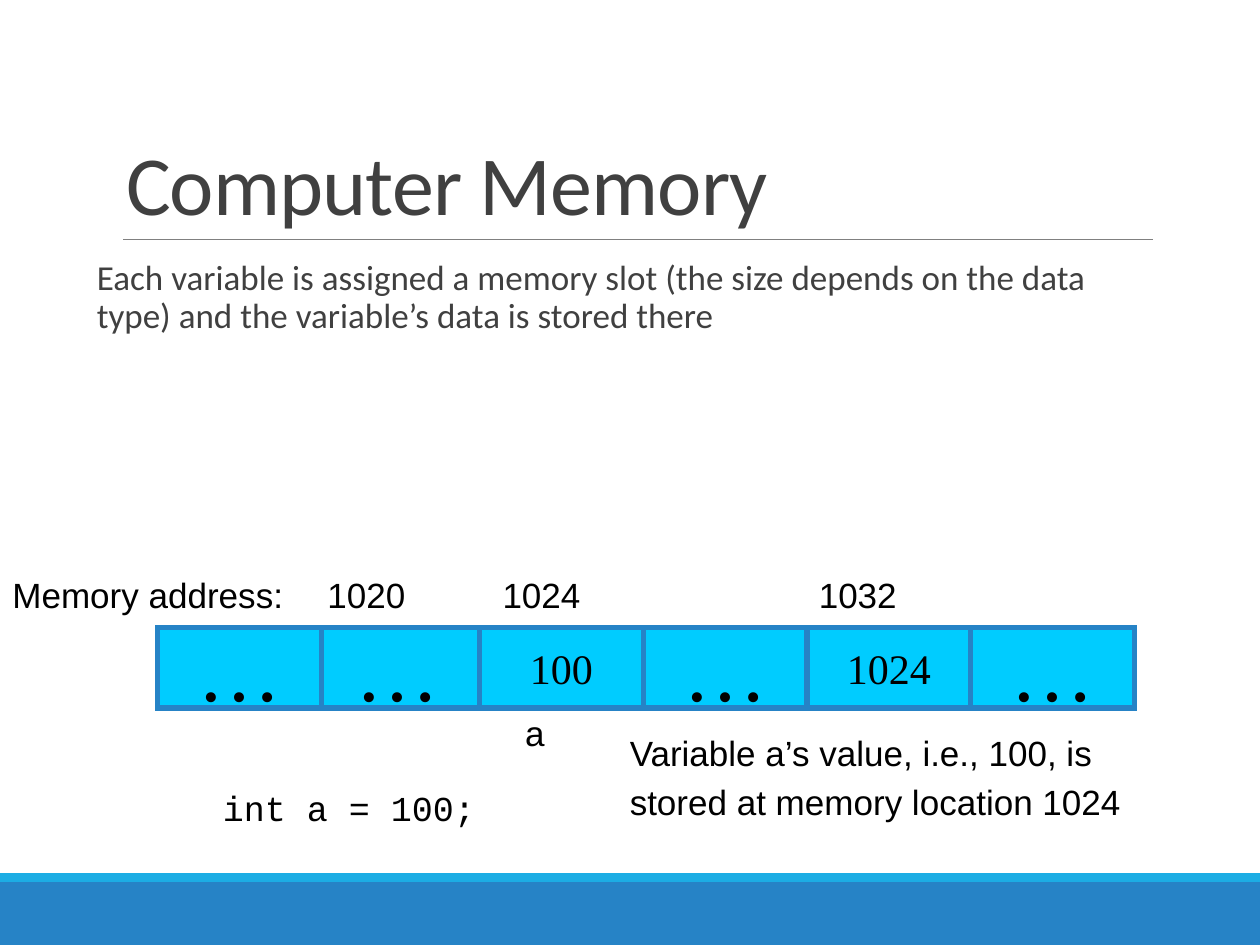
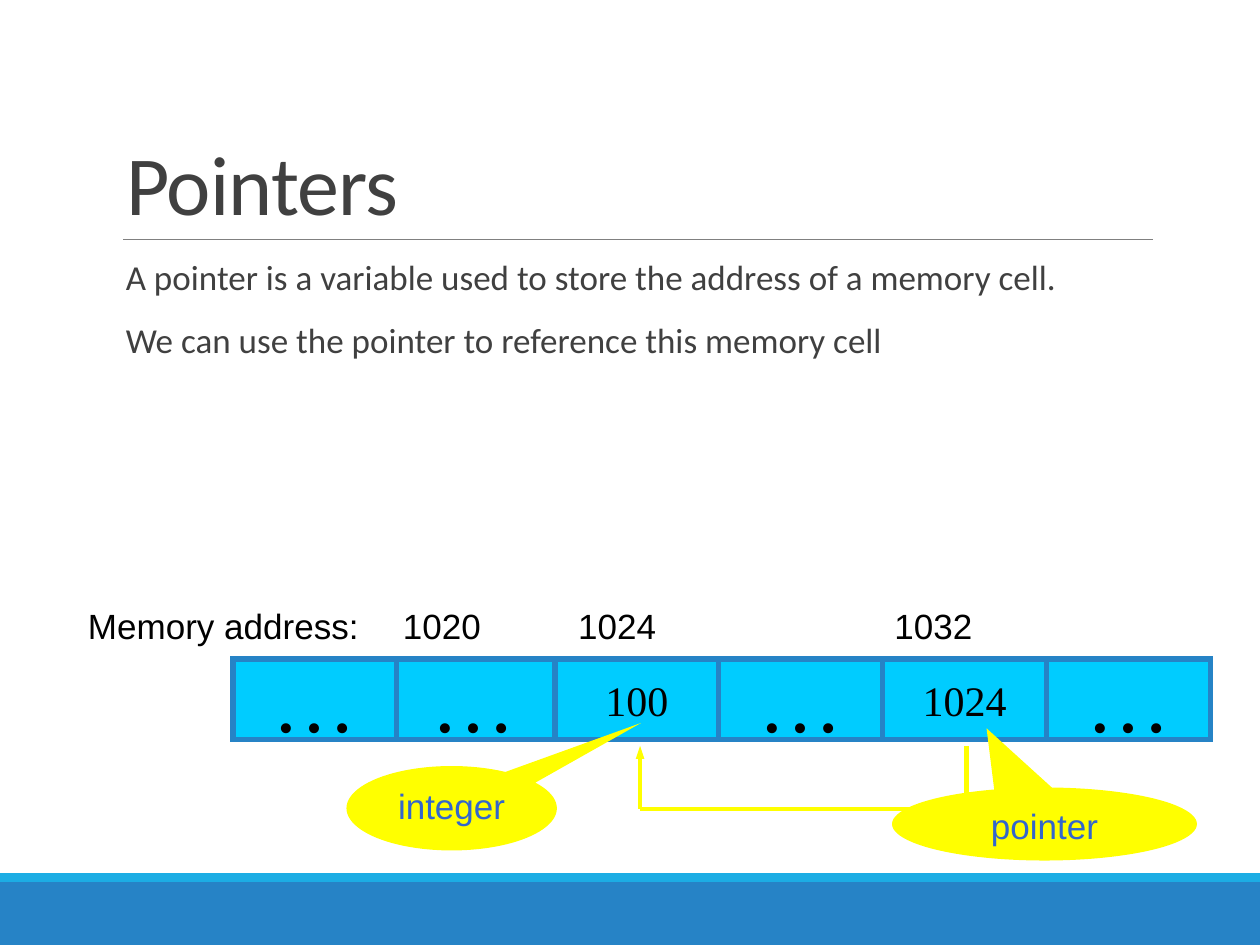
from itertools import pairwise

from lxml.etree import SubElement
from pptx import Presentation
from pptx.dml.color import RGBColor
from pptx.enum.shapes import MSO_CONNECTOR, MSO_SHAPE
from pptx.enum.text import MSO_ANCHOR, PP_ALIGN
from pptx.oxml.ns import qn
from pptx.util import Inches, Pt

COLS, ROWS = 100, 75
TITLE_ONLY = 5
BLUE, SKY, CYAN, YELLOW = "2683C6", "1CADE4", "00CCFF", "FFFF00"
BLACK, GREY, RULE, CALLOUT_TEXT = "000000", "404040", "808080", "3366CC"
BODY_FONT, LABEL_FONT, CODE_FONT, CELL_FONT = "Calibri", "Arial", "Courier New", "Times New Roman"
CELL_W, CELL_H, FIRST_STEP = 13, 6.4, 12.55
MEMORY = ["…", "…", "100", "…", "1024", "…"]


def rgb(color):
    return RGBColor.from_string(color)


class Deck:
    """Holds the style and the current slide; lengths are grid columns and rows."""

    def __init__(self):
        self.prs = Presentation()
        self.prs.slide_width, self.prs.slide_height = Inches(10), Inches(7.5)
        self.s = None

    def place(self, x, y):
        return int(self.prs.slide_width * x / COLS), int(self.prs.slide_height * y / ROWS)

    def box(self, x, y, w, h):
        return *self.place(x, y), *self.place(w, h)

    def format(self, tf, size, font, color, align=PP_ALIGN.LEFT, before=0, after=0, spacing=1.0):
        for p in tf.paragraphs:
            p.alignment, p.line_spacing = align, spacing
            p.space_before, p.space_after = Pt(before), Pt(after)
            for r in p.runs:
                r.font.size, r.font.name = Pt(size), font
                r.font.color.rgb = rgb(color)

    def slide(self, title):
        self.s = self.prs.slides.add_slide(self.prs.slide_layouts[TITLE_ONLY])
        self.shape(MSO_SHAPE.RECTANGLE, 0, 70, COLS, 5, BLUE)
        self.shape(MSO_SHAPE.RECTANGLE, 0, 69.3, COLS, 0.7, SKY)
        self.line((9.8, 19), (91.5, 19), RULE, 0.5)
        sp = self.s.shapes.title
        sp.left, sp.top, sp.width, sp.height = self.box(9, 3.1, 82.5, 15.9)
        tf = sp.text_frame
        tf.text = title
        tf.vertical_anchor = MSO_ANCHOR.BOTTOM
        self.format(tf, 48, BODY_FONT, GREY, spacing=0.85)
        tf.paragraphs[0].runs[0].font._element.set("spc", "-50")

    def shape(self, kind, x, y, w, h, fill, outline=None):
        sp = self.s.shapes.add_shape(kind, *self.box(x, y, w, h))
        sp.shadow.inherit = False
        sp.fill.solid()
        sp.fill.fore_color.rgb = rgb(fill)
        if outline:
            sp.line.color.rgb = rgb(outline)
            sp.line.width = Pt(3)
            SubElement(sp.line._get_or_add_ln(), qn("a:miter"), lim="800000")
        else:
            sp.line.fill.background()
        return sp

    def line(self, start, end, color, width, arrow=False):
        c = self.s.shapes.add_connector(
            MSO_CONNECTOR.STRAIGHT, *self.place(*start), *self.place(*end))
        c.line.color.rgb = rgb(color)
        c.line.width = Pt(width)
        if arrow:
            SubElement(c.line._get_or_add_ln(), qn("a:tailEnd"), type="triangle", w="sm")
        SubElement(c._element.spPr, qn("a:effectLst"))

    def text(self, text, x, y, w, h, wrap=False):
        tf = self.s.shapes.add_textbox(*self.box(x, y, w, h)).text_frame
        tf.word_wrap = wrap
        tf.text = text
        return tf

    def body(self, text, x, y, w, h):
        tf = self.text(text, x, y, w, h, wrap=True)
        tf.margin_left, tf.margin_right = Inches(0.1), 0
        self.format(tf, 20, BODY_FONT, GREY, before=12, after=2, spacing=0.9)

    def label(self, text, x, y, w, h=4.3, font=LABEL_FONT):
        self.format(self.text(text, x, y, w, h), 20, font, BLACK, before=4)

    def cell(self, text, x, y):
        sp = self.shape(MSO_SHAPE.RECTANGLE, x, y, CELL_W, CELL_H, CYAN, BLUE)
        tf = sp.text_frame
        tf.text = text
        tf.word_wrap = False
        tf.vertical_anchor = MSO_ANCHOR.MIDDLE
        self.format(tf, 48 if text == "…" else 24, CELL_FONT, BLACK, PP_ALIGN.CENTER)

    def memory(self, x, y):
        """Draws the row of cells and the addresses above it; the first cell overlaps the second."""
        for i, value in enumerate(MEMORY[1:]):
            self.cell(value, x + FIRST_STEP + i * CELL_W, y)
        self.cell(MEMORY[0], x, y)
        for text, dx, w in (("Memory address:", -12.5, 25), ("1020", 12.5, 10.6),
                            ("1024", 26.4, 10.6), ("1032", 51.5, 8.2)):
            self.label(text, x + dx, y - 4.8, w)

    def callout(self, text, x, y, w, h, tip):
        sp = self.shape(MSO_SHAPE.OVAL_CALLOUT, x, y, w, h, YELLOW)
        sp.adjustments[0], sp.adjustments[1] = tip
        tf = sp.text_frame
        tf.text = text
        tf.vertical_anchor = MSO_ANCHOR.TOP
        self.format(tf, 20, LABEL_FONT, CALLOUT_TEXT, PP_ALIGN.CENTER, before=4)

    def arrow_path(self, points, color, width):
        legs = list(pairwise(points))
        for leg in legs:
            self.line(*leg, color, width, arrow=leg == legs[-1])


def computer_memory(deck):
    deck.slide("Computer Memory")
    deck.body("Each variable is assigned a memory slot (the size depends on the data type) "
              "and the variable’s data is stored there", 6.7, 20.2, 85.8, 34.8)
    deck.memory(12.5, 49.8)
    deck.label("Variable a’s value, i.e., 100, is\nstored at memory location 1024",
               49, 57.6, 43.6, 8.3)
    deck.label("int a = 100;", 16.7, 61.9, 26, font=CODE_FONT)
    deck.label("a", 40.7, 56, 3.6)


def pointers(deck):
    deck.slide("Pointers")
    deck.body("A pointer is a variable used to store the address of a memory cell.\n"
              "We can use the pointer to reference this memory cell", 9, 20.2, 82.5, 44)
    deck.memory(18.5, 52.3)
    source, target, top, bottom = 76.7, 50.8, 59.2, 64.2
    deck.arrow_path([(source, top), (source, bottom), (target, bottom), (target, top)],
                    YELLOW, 2.5)
    deck.callout("integer", 27.5, 60.8, 16.7, 6.7, (0.9, -1.01))
    deck.callout("pointer", 70.8, 62.5, 24.2, 5.8, (-0.19, -1.31))


def main():
    deck = Deck()
    computer_memory(deck)
    pointers(deck)
    deck.prs.save("out.pptx")


if __name__ == "__main__":
    main()
